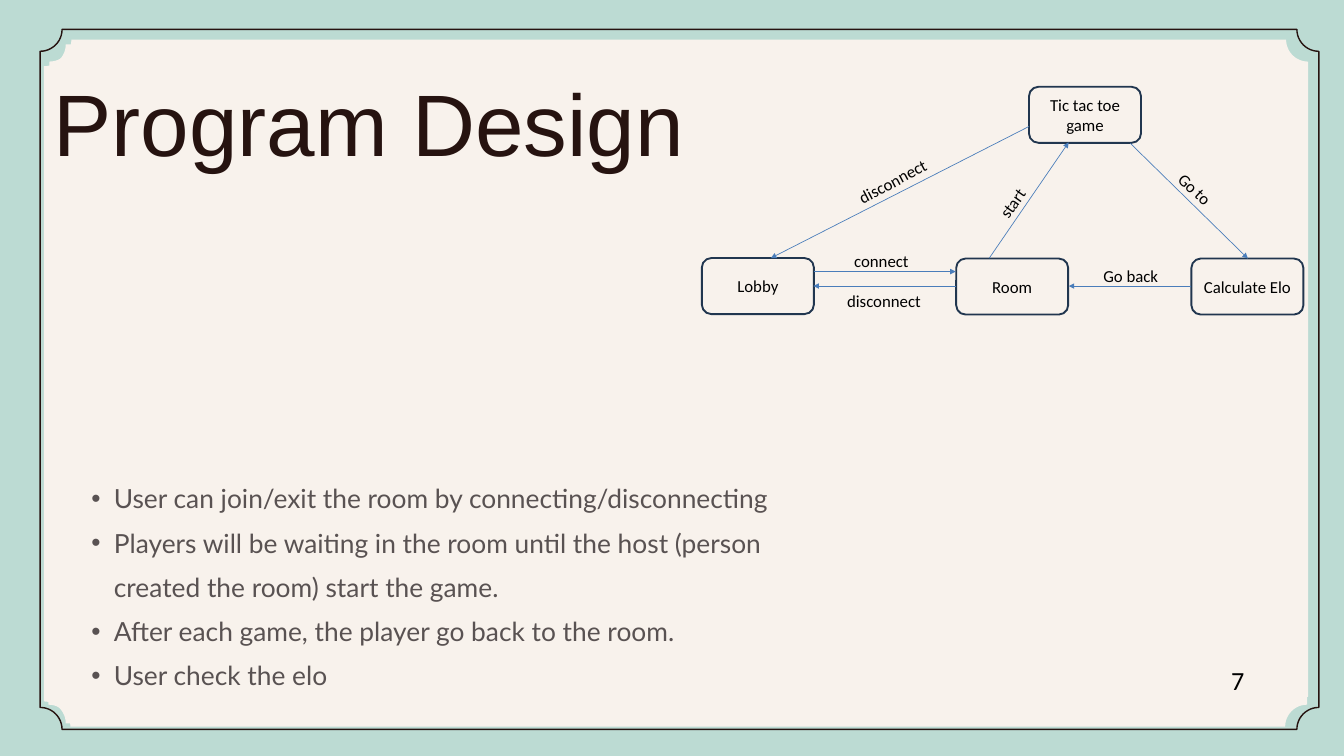
from dataclasses import dataclass

from lxml import etree
from pptx import Presentation
from pptx.dml.color import RGBColor
from pptx.enum.shapes import MSO_CONNECTOR, MSO_SHAPE
from pptx.enum.text import MSO_ANCHOR, PP_ALIGN
from pptx.oxml.ns import qn
from pptx.util import Pt

PLAQUE, ROUND = MSO_SHAPE.PLAQUE, MSO_SHAPE.ROUNDED_RECTANGLE
STRAIGHT = MSO_CONNECTOR.STRAIGHT
TOP, MIDDLE = MSO_ANCHOR.TOP, MSO_ANCHOR.MIDDLE
LEFT, CENTER = PP_ALIGN.LEFT, PP_ALIGN.CENTER


@dataclass(frozen=True)
class Theme:
    mint: str = "BCDBD3"
    cream: str = "F8F2EC"
    brown: str = "261310"
    navy: str = "21364F"
    blue: str = "4A7DBA"
    gray: str = "595252"
    black: str = "000000"
    title: tuple = ("Arial", 93.5)
    body: tuple = ("Lato", 28.2)
    label: tuple = ("Calibri", 18)
    number: tuple = ("Calibri", 28)


THEME = Theme()
BOX = (120, 60)
CORNER = 23.5
INSET = (7.2, 3.6)

PANELS = [(53, 42.5), (47, 47.5), (52, 51)]
PANEL = (1348.5, 727.5)

NODES = [
    ("Lobby", 752, 276.5),
    ("Room", 1024.5, 277),
    ("Tic tac toe game", 1102.5, 93),
    ("Calculate Elo", 1276.5, 277),
]
ARROWS = [
    ((872.5, 291), (1024, 291)),
    ((1024.5, 306.5), (871.5, 306.5)),
    ((1102.5, 135.5), (826, 276.5)),
    ((1060, 276.5), (1145, 152.5)),
    ((1211, 153.5), (1337, 277)),
    ((1276.5, 306.5), (1145, 306.5)),
]
# text, left, top, width, turn in degrees
LABELS = [
    ("disconnect", 900.5, 308, 94.5, 0),
    ("connect", 908, 265.5, 73.5, 0),
    ("disconnect", 909.5, 179.5, 94.5, 332.1),
    ("start", 1060.5, 203, 48.5, 304.9),
    ("Go to", 1253, 188.5, 55.5, 43.3),
    ("Go back", 1175, 281, 74, 0),
]
POINTS = [
    "User can join/exit the room by connecting/disconnecting",
    "Players will be waiting in the room until the host "
    "(person created the room) start the game.",
    "After each game, the player go back to the room.",
    "User check the elo",
]


def apply(target, values):
    for name, value in values.items():
        setattr(target, name, value)


def rgb(color):
    return RGBColor.from_string(color)


class Deck:
    def __init__(self, theme, width, height):
        self.theme = theme
        self.show = Presentation()
        apply(self.show, {"slide_width": Pt(width), "slide_height": Pt(height)})
        self.slide = self.show.slides.add_slide(self.show.slide_layouts[6])
        back = self.slide.background.fill
        back.solid()
        back.fore_color.rgb = rgb(theme.mint)

    def shape(self, kind, place, adjust, fill=None, line=None, weight=1):
        item = self.slide.shapes.add_shape(kind, *map(Pt, place))
        item.shadow.inherit = False
        item.adjustments[0] = adjust
        if fill:
            item.fill.solid()
            item.fill.fore_color.rgb = rgb(fill)
        else:
            item.fill.background()
        if line:
            item.line.color.rgb = rgb(line)
            item.line.width = Pt(weight)
        else:
            item.line.fill.background()
        return item

    def plaque(self, place, **look):
        self.shape(PLAQUE, place, CORNER / place[3], **look)

    def letter(self, item, lines, font, color, align=LEFT, anchor=TOP,
               inset=INSET, wrap=True, space=None, bullet=False):
        """Fill the item's text frame, one paragraph a line."""
        frame = item.text_frame
        side, edge = map(Pt, inset)
        apply(frame, {
            "word_wrap": wrap, "vertical_anchor": anchor,
            "margin_left": side, "margin_right": side,
            "margin_top": edge, "margin_bottom": edge,
        })
        name, size = font
        for i, line in enumerate(lines):
            para = frame.add_paragraph() if i else frame.paragraphs[0]
            apply(para, {"alignment": align, "line_spacing": space})
            run = para.add_run()
            run.text = line
            apply(run.font, {"name": name, "size": Pt(size)})
            run.font.color.rgb = rgb(color)
            if bullet:
                self.bullet(para, color)

    def bullet(self, para, color):
        props = para._p.get_or_add_pPr()
        props.set("marL", str(Pt(48)))
        props.set("indent", str(-Pt(24)))
        paint = etree.SubElement(props, qn("a:buClr"))
        etree.SubElement(paint, qn("a:srgbClr"), val=color)
        etree.SubElement(props, qn("a:buFont"), typeface="Arial")
        etree.SubElement(props, qn("a:buChar"), char="•")

    def text(self, place, lines, font, color, turn=0, **look):
        item = self.slide.shapes.add_textbox(*map(Pt, place))
        item.rotation = turn
        self.letter(item, lines, font, color, **look)

    def node(self, name, left, top):
        item = self.shape(ROUND, (left, top, *BOX), 0.167,
                          line=self.theme.navy, weight=2)
        self.letter(item, [name], self.theme.label, self.theme.black,
                    align=CENTER, anchor=MIDDLE)

    def arrow(self, start, end):
        item = self.slide.shapes.add_connector(STRAIGHT, *map(Pt, start + end))
        item.line.color.rgb = rgb(self.theme.blue)
        item.line.width = Pt(0.75)
        etree.SubElement(item.line._get_or_add_ln(), qn("a:tailEnd"),
                         type="triangle")
        etree.SubElement(item._element.spPr, qn("a:effectLst"))


def main():
    deck = Deck(THEME, 1440, 810)
    deck.plaque((43, 31.5, 1370, 750), line=THEME.brown, weight=1.5)
    for spot in PANELS:
        deck.plaque(spot + PANEL, fill=THEME.cream)
    deck.text((57.5, 52.5, 866, 112.5), ["Program Design"], THEME.title,
              THEME.brown, inset=(0, 0), space=1.19)
    for node in NODES:
        deck.node(*node)
    for start, end in ARROWS:
        deck.arrow(start, end)
    for name, left, top, width, turn in LABELS:
        deck.text((left, top, width, 29), [name], THEME.label, THEME.black,
                  turn=turn, wrap=False)
    deck.text((74, 503.5, 834.5, 239), POINTS, THEME.body, THEME.gray,
              inset=(0, 0), space=1.4, bullet=True)
    deck.text((1312, 708.5, 85, 41), ["7"], THEME.number, THEME.black)
    deck.show.save("out.pptx")


if __name__ == "__main__":
    main()
